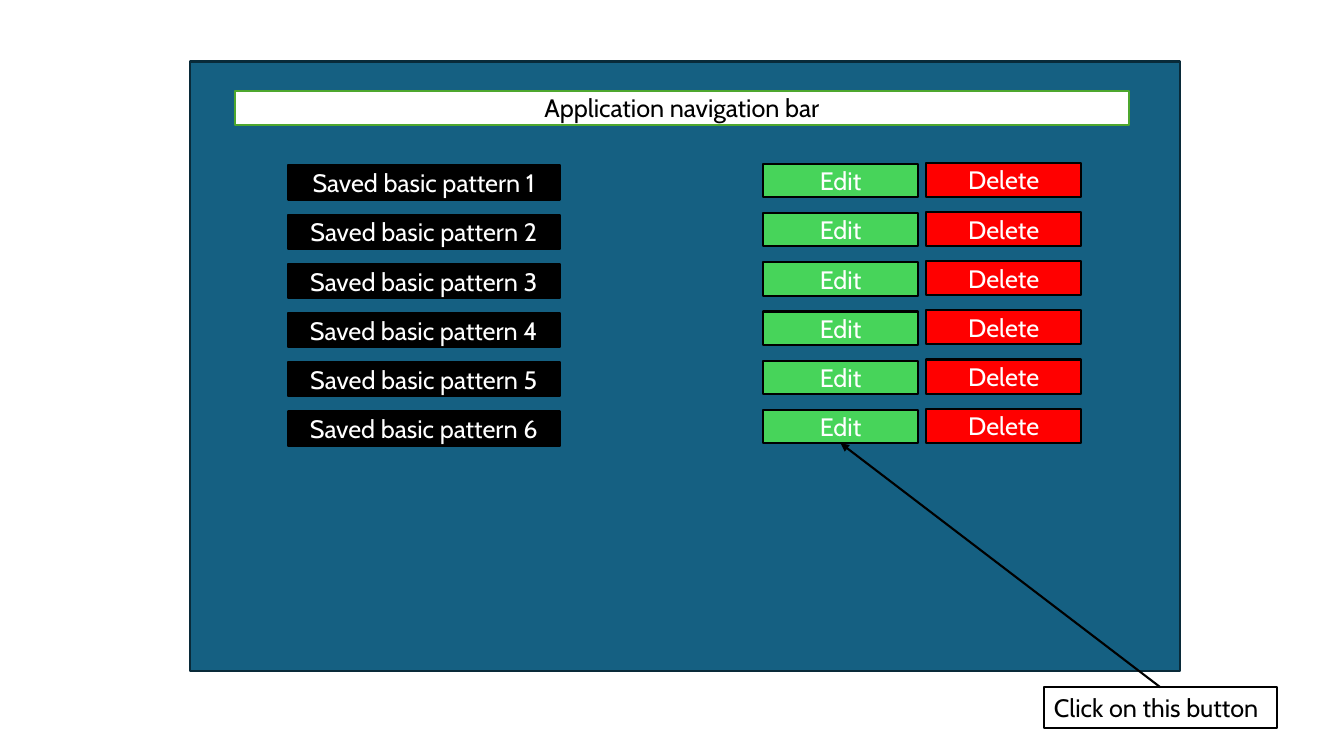
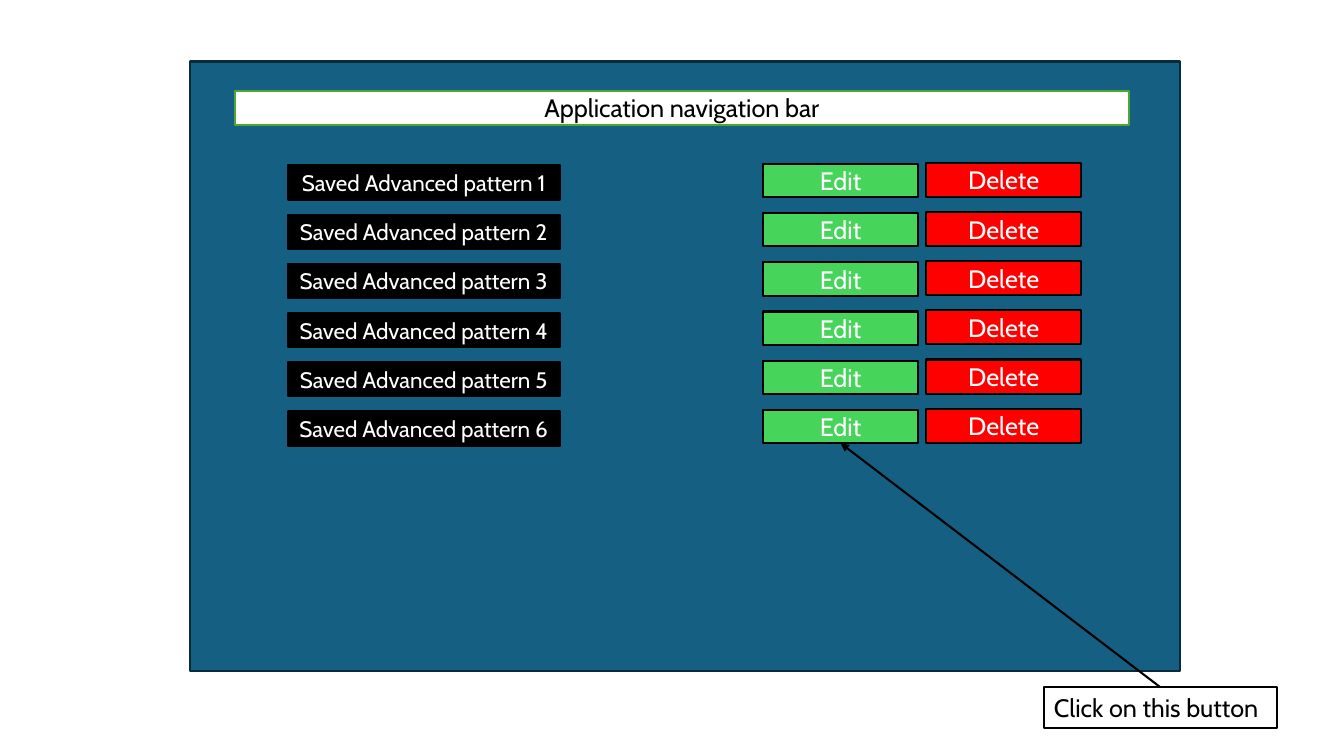
from pptx import Presentation
from pptx.dml.color import RGBColor
from pptx.enum.shapes import MSO_CONNECTOR, MSO_SHAPE
from pptx.enum.text import MSO_ANCHOR, MSO_AUTO_SIZE, PP_ALIGN
from pptx.oxml.ns import qn
from pptx.util import Cm, Pt
from lxml.etree import SubElement

FONT = "Cabin"
LINE_WIDTH = Pt(1.5)
ROWS = 6
ROW_PITCH = 1.24
COLORS = {
    "panel": "156082",
    "panel_line": "092A39",
    "nav_line": "4EA72E",
    "edit": "47D45A",
    "delete": "FF0000",
    "black": "000000",
    "white": "FFFFFF",
}


def rgb(name):
    """Return the named palette colour."""
    return RGBColor.from_string(COLORS[name])


def paint(sp, fill, line):
    """Give a shape its fill and outline."""
    sp.fill.solid()
    sp.fill.fore_color.rgb = rgb(fill)
    sp.line.color.rgb = rgb(line)
    sp.line.width = LINE_WIDTH


def write(sp, text, color, size=18, align=PP_ALIGN.CENTER):
    """Write one line of text into a shape."""
    p = sp.text_frame.paragraphs[0]
    p.alignment = align
    r = p.add_run()
    r.text = text
    r.font.name = FONT
    r.font.size = Pt(size)
    r.font.color.rgb = rgb(color)


def add_box(s, box, fill, line="black"):
    """Add a flat rectangle whose box is given in centimetres."""
    sp = s.shapes.add_shape(MSO_SHAPE.RECTANGLE, *map(Cm, box))
    sp.shadow.inherit = False
    paint(sp, fill, line)
    sp.text_frame.vertical_anchor = MSO_ANCHOR.MIDDLE
    return sp


def add_screen(s):
    """Add the application window with its navigation bar."""
    add_box(s, (4.8, 1.55, 24.94, 15.37), "panel", "panel_line")
    nav = add_box(s, (5.92, 2.29, 22.53, 0.86), "white", "nav_line")
    write(nav, "Application navigation bar", "black")


def add_row(s, index, label, size):
    """Add one saved pattern with its buttons and return the edit button."""
    dy = index * ROW_PITCH
    pattern = add_box(s, (7.25, 4.17 + dy, 6.86, 0.86), "black")
    write(pattern, f"{label} {index + 1}", "white", size)
    edit = add_box(s, (19.23, 4.13 + dy, 3.91, 0.84), "edit")
    write(edit, "Edit", "white")
    delete = add_box(s, (23.34, 4.1 + dy, 3.91, 0.86), "delete")
    write(delete, "Delete", "white")
    return edit


def add_note(s, text):
    """Add the outlined note below the window."""
    sp = s.shapes.add_textbox(Cm(26.31), Cm(17.32), Cm(5.87), Cm(1.02))
    paint(sp, "white", "black")
    sp.text_frame.word_wrap = False
    sp.text_frame.auto_size = MSO_AUTO_SIZE.SHAPE_TO_FIT_TEXT
    write(sp, text, "black", align=PP_ALIGN.LEFT)
    return sp


def add_arrow(s, start, end):
    """Point an arrow from the top of one shape to the bottom of another."""
    arrow = s.shapes.add_connector(MSO_CONNECTOR.STRAIGHT, 0, 0, 0, 0)
    arrow.begin_connect(start, 0)
    arrow.end_connect(end, 2)
    arrow.line.color.rgb = rgb("black")
    arrow.line.width = LINE_WIDTH
    SubElement(arrow.line._get_or_add_ln(), qn("a:tailEnd"), type="triangle")
    SubElement(arrow._element.spPr, qn("a:effectLst"))


def add_pattern_slide(prs, label, size):
    """Add a slide listing the saved patterns of one kind."""
    s = prs.slides.add_slide(prs.slide_layouts[6])
    add_screen(s)
    edits = [add_row(s, i, label, size) for i in range(ROWS)]
    note = add_note(s, "Click on this button")
    add_arrow(s, note, edits[-1])


def main():
    """Build and save the presentation."""
    prs = Presentation()
    prs.slide_width, prs.slide_height = Cm(33.87), Cm(19.05)
    add_pattern_slide(prs, "Saved basic pattern", 18)
    add_pattern_slide(prs, "Saved Advanced pattern", 16)
    prs.save("out.pptx")


if __name__ == "__main__":
    main()
